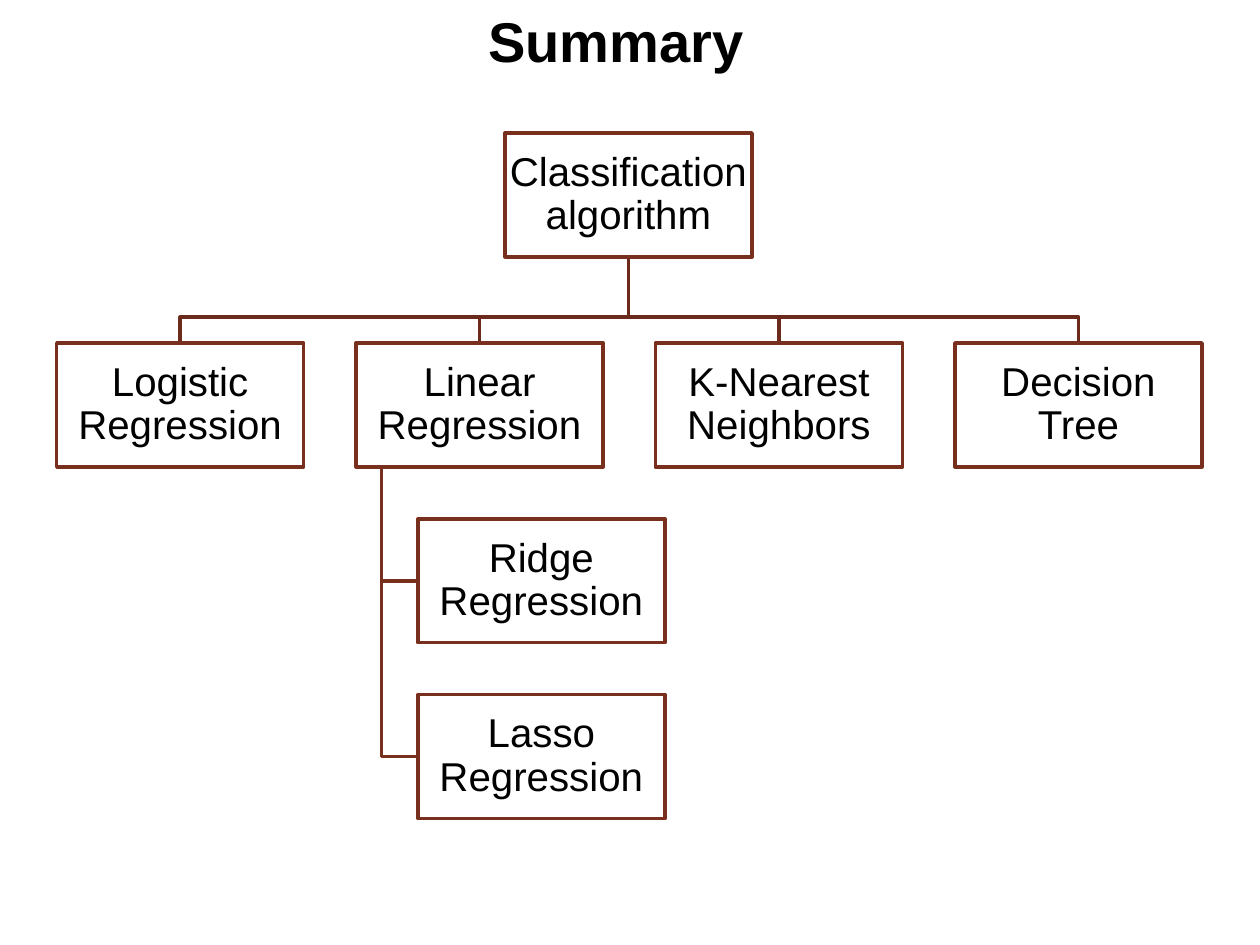
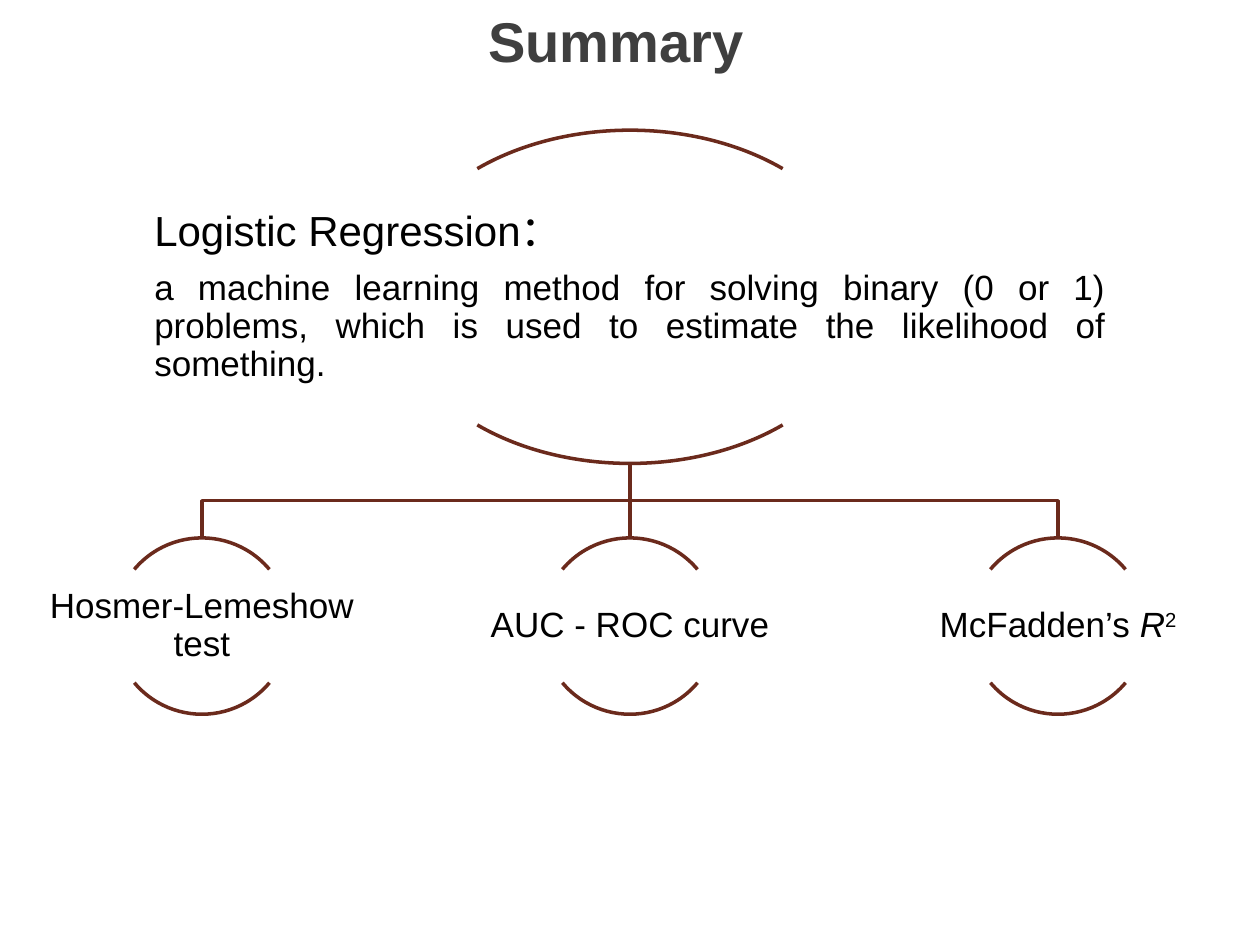
from pptx import Presentation
from pptx.dml.color import RGBColor
from pptx.enum.shapes import MSO_CONNECTOR, MSO_SHAPE
from pptx.enum.text import MSO_ANCHOR as ANCHOR, PP_ALIGN as ALIGN
from pptx.oxml.ns import qn
from pptx.util import Pt
from lxml.etree import SubElement

BLACK, GREY, WHITE = "000000", "3F3F3F", "FFFFFF"
BROWN, DARK_BROWN = "792F1E", "6B2A1C"
FONT = "Arial"


def write(sp, text, size=20, color=BLACK, bold=False, align=ALIGN.CENTER,
          anchor=ANCHOR.MIDDLE, inset=(1, 1), spacing=0.9, before=0, more=False,
          italic=False, raised=None):
    """Add a paragraph to sp, or with more=True a run to its last paragraph."""
    tf = sp.text_frame
    tf.word_wrap = True
    tf.vertical_anchor = anchor
    tf.margin_left = tf.margin_right = Pt(inset[0])
    tf.margin_top = tf.margin_bottom = Pt(inset[1])
    p = tf.paragraphs[-1]
    if p.runs and not more:
        p = tf.add_paragraph()
    p.alignment = align
    p.line_spacing = spacing
    p.space_before = Pt(before)
    r = p.add_run()
    r.text = text
    r.font.name, r.font.size = FONT, Pt(size)
    r.font.bold, r.font.italic = bold, italic
    r.font.color.rgb = RGBColor.from_string(color)
    if raised:
        r.font._element.set("baseline", str(raised * 1000))


def stroke(sp, color):
    """Give a shape or connector a plain 2 pt line without a shadow."""
    sp.line.color.rgb = RGBColor.from_string(color)
    sp.line.width = Pt(2)
    SubElement(sp._element.spPr, qn("a:effectLst"))


prs = Presentation()
prs.slide_width, prs.slide_height = Pt(720), Pt(540)
algorithms, logistic = [prs.slides.add_slide(prs.slide_layouts[6]) for _ in range(2)]

for s, color in ((algorithms, BLACK), (logistic, GREY)):
    title = s.shapes.add_textbox(Pt(272), 0, Pt(176), Pt(47))
    write(title, "Summary", size=32, color=color, bold=True, align=ALIGN.LEFT,
          anchor=ANCHOR.TOP, inset=(7.2, 3.6), spacing=1)

# Grid of the algorithm tree
box_w, box_h = 141.2, 70.8
root_x, root_y = 288.6, 76
column_x = [32.4 + 171.1 * i for i in range(4)]
row_y = 196
child_x = column_x[1] + 35.3
child_y = [296.5 + 100.4 * i for i in range(2)]

# Grid of the logistic regression tree
center_x = 360
oval_w, oval_h, oval_y = 273, 190.4, 74.4
circle, circle_y = 100.8, 307.4
circle_x = [center_x + 244.6 * i for i in (-1, 0, 1)]
oval_bottom = oval_y + oval_h

# Elbow lines behind the boxes and arcs
elbows = []
for x in column_x:
    start, end, bar_y = root_x + box_w / 2, x + box_w / 2, 181.3
    elbows.append((algorithms, DARK_BROWN, [(start, root_y + box_h), (start, bar_y),
                                            (end, bar_y), (end, row_y)]))
for y in child_y:
    trunk_x, end_y = column_x[1] + 14.4, y + box_h / 2
    elbows.append((algorithms, BROWN, [(trunk_x, row_y + box_h), (trunk_x, end_y),
                                       (child_x, end_y)]))
for x in (circle_x[0], circle_x[2]):
    bar_y = (oval_bottom + circle_y) / 2
    elbows.append((logistic, DARK_BROWN, [(center_x, oval_bottom), (center_x, bar_y),
                                          (x, bar_y), (x, circle_y)]))
for s, color, points in elbows:
    points = [(Pt(x), Pt(y)) for x, y in points]
    builder = s.shapes.build_freeform(*points[0])
    builder.add_line_segments(points[1:], close=False)
    sp = builder.convert_to_shape()
    sp.fill.background()
    stroke(sp, color)

stem = logistic.shapes.add_connector(MSO_CONNECTOR.STRAIGHT, Pt(center_x), Pt(oval_bottom),
                                     Pt(center_x), Pt(circle_y))
stroke(stem, DARK_BROWN)

# Algorithm boxes
names = ["Logistic Regression", "Linear Regression", "K-Nearest Neighbors", "Decision Tree"]
boxes = [("Classification algorithm", root_x, root_y)]
boxes += [(name, x, row_y) for name, x in zip(names, column_x)]
boxes += [(name, child_x, y) for name, y in zip(("Ridge Regression", "Lasso Regression"), child_y)]
for name, x, y in boxes:
    sp = algorithms.shapes.add_shape(MSO_SHAPE.RECTANGLE, Pt(x), Pt(y), Pt(box_w), Pt(box_h))
    sp.fill.solid()
    sp.fill.fore_color.rgb = RGBColor.from_string(WHITE)
    stroke(sp, BROWN)
    write(sp, name, size=23)

# Upper and lower arcs around each text
ovals = [(center_x, oval_y, oval_w, oval_h)]
ovals += [(x, circle_y, circle, circle) for x in circle_x]
for x, y, w, h in ovals:
    for angles in ((132, 192), (24, 84)):
        sp = logistic.shapes.add_shape(MSO_SHAPE.ARC, Pt(x - w / 2), Pt(y), Pt(w), Pt(h))
        sp.adjustments[0], sp.adjustments[1] = angles
        sp.fill.background()
        stroke(sp, DARK_BROWN)

definition = logistic.shapes.add_textbox(Pt(87.2), Pt(108.8), Pt(545.6), Pt(121.8))
write(definition, "Logistic Regression：", size=24, align=ALIGN.JUSTIFY)
write(definition, "a machine learning method for solving binary (0 or 1) problems, "
      "which is used to estimate the likelihood of something.",
      align=ALIGN.JUSTIFY, before=8.4)

label_w, label_h = 202.4, 64.6
for x, label in zip(circle_x, ("Hosmer-Lemeshow test", "AUC - ROC curve", "McFadden’s ")):
    measure = logistic.shapes.add_textbox(Pt(x - label_w / 2), Pt(circle_y + (circle - label_h) / 2),
                                          Pt(label_w), Pt(label_h))
    write(measure, label)
write(measure, "R", italic=True, more=True)
write(measure, "2", raised=30, more=True)

prs.save("out.pptx")
